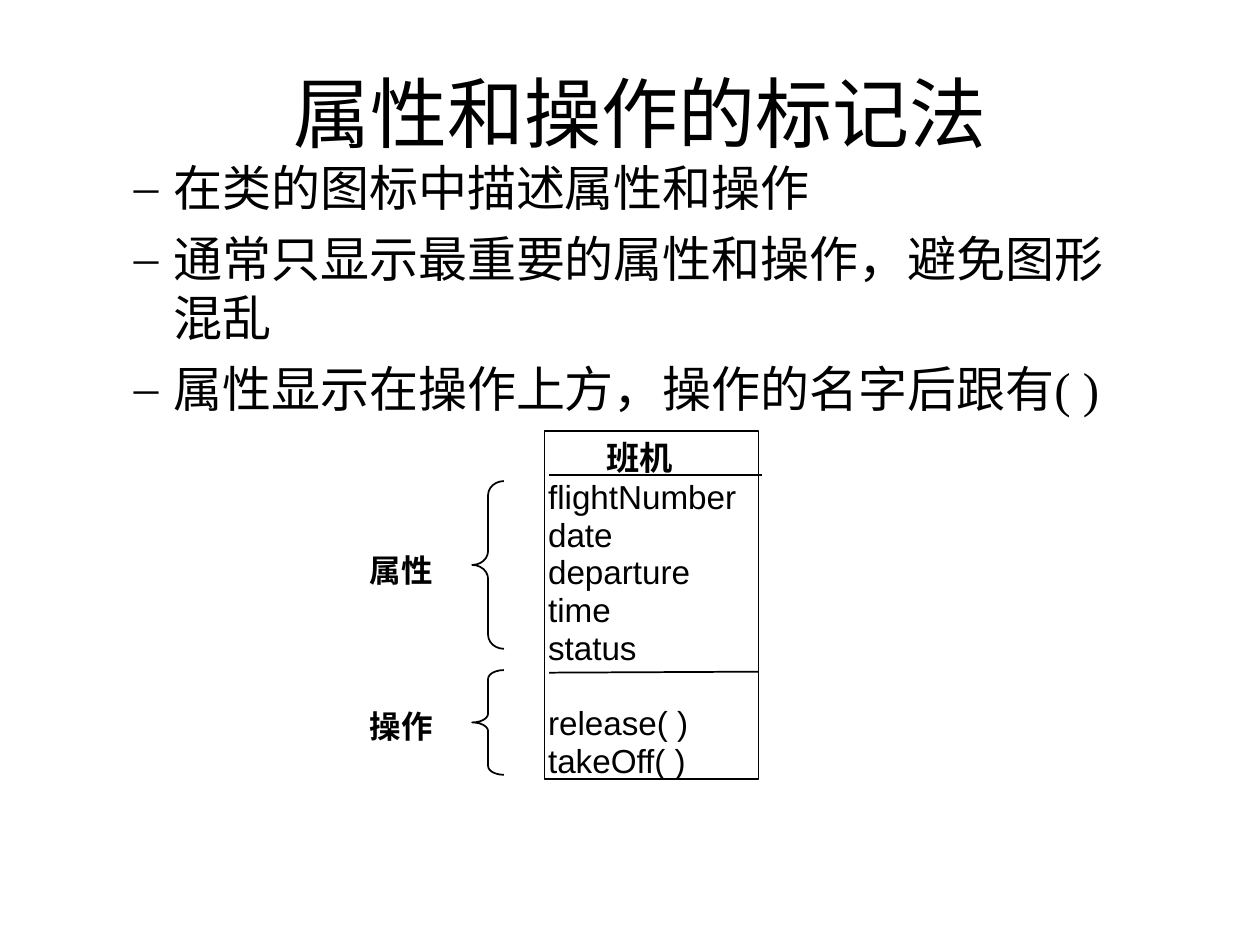
"""Build a slide on how attributes and operations are written in a class box."""
from dataclasses import dataclass

from lxml import etree
from pptx import Presentation
from pptx.dml.color import RGBColor
from pptx.enum.shapes import MSO_CONNECTOR, MSO_SHAPE
from pptx.enum.text import MSO_ANCHOR, MSO_AUTO_SIZE, PP_ALIGN
from pptx.oxml.ns import qn
from pptx.util import Cm, Pt

RECT, BRACE = MSO_SHAPE.RECTANGLE, MSO_SHAPE.LEFT_BRACE
STRAIGHT = MSO_CONNECTOR.STRAIGHT
TOP, BOTTOM = MSO_ANCHOR.TOP, MSO_ANCHOR.BOTTOM
FIXED, GROW = MSO_AUTO_SIZE.NONE, MSO_AUTO_SIZE.SHAPE_TO_FIT_TEXT
LEFT, CENTER = PP_ALIGN.LEFT, PP_ALIGN.CENTER


@dataclass(frozen=True)
class Theme:
    ink: RGBColor = RGBColor(0, 0, 0)
    serif: str = "Times New Roman"
    sans: str = "Arial"
    title: int = 44
    body: int = 28
    member: int = 19
    label: int = 18
    line: int = 1


theme = Theme()
prs = Presentation()
prs.slide_width, prs.slide_height = Cm(25.4), Cm(19.05)
s = prs.slides.add_slide(prs.slide_layouts[6])


def add_box(x, y, w, h, inset=(0.25, 0.13), wrap=False, anchor=TOP):
    tf = s.shapes.add_textbox(Cm(x), Cm(y), Cm(w), Cm(h)).text_frame
    tf.word_wrap, tf.vertical_anchor = wrap, anchor
    tf.auto_size = FIXED if wrap else GROW
    tf.margin_left = tf.margin_right = Cm(inset[0])
    tf.margin_top = tf.margin_bottom = Cm(inset[1])
    return tf


def add_run(p, text, size, font, bold=False, align=LEFT):
    p.alignment = align
    r = p.add_run()
    r.text = text
    r.font.size, r.font.name, r.font.bold = Pt(size), font, bold
    r.font.color.rgb = theme.ink


tf = add_box(2.11, 1.27, 21.59, 1.91, (0, 0), True, BOTTOM)
add_run(tf.paragraphs[0], "属性和操作的标记法", theme.title, theme.serif, align=CENTER)

points = [
    "在类的图标中描述属性和操作",
    "通常只显示最重要的属性和操作，避免图形混乱",
    "属性显示在操作上方，操作的名字后跟有( )",
]
tf = add_box(1.9, 3.18, 20.4, 6.43, (0, 0), True)
for i, point in enumerate(points):
    p = tf.add_paragraph() if i else tf.paragraphs[0]
    pPr = p._p.get_or_add_pPr()
    pPr.set("marL", str(Cm(1.6)))
    pPr.set("indent", str(Cm(-0.8)))
    p.space_before = Pt(7 if i else 0)
    etree.SubElement(pPr, qn("a:buFont")).set("typeface", theme.serif)
    etree.SubElement(pPr, qn("a:buChar")).set("char", "–")
    add_run(p, point, theme.body, theme.serif)

tf = add_box(11.97, 8.69, 1.86, 1.07)
add_run(tf.paragraphs[0], "班机", theme.member, theme.sans, True)

frame = s.shapes.add_shape(RECT, Cm(10.98), Cm(8.69), Cm(4.31), Cm(7.01))
outlines = [frame]

for y1, x2, y2 in [(9.58, 15.37, 9.58), (13.56, 15.29, 13.54)]:
    divider = s.shapes.add_connector(STRAIGHT, Cm(11.07), Cm(y1), Cm(x2), Cm(y2))
    divider.line.color.rgb, divider.line.width = theme.ink, Pt(theme.line)
    etree.SubElement(divider._element.spPr, qn("a:effectLst"))

members = [
    (0, "flightNumber", 4.4),
    (1, "date", 2),
    (2, "departure", 3.5),
    (3, "time", 1.9),
    (4, "status", 2.4),
    (6, "release( )", 3.4),
    (7, "takeOff( )", 3.4),
]
for row, name, width in members:
    tf = add_box(10.8, 9.47 + 0.76 * row, width, 1.07)
    add_run(tf.paragraphs[0], name, theme.member, theme.sans)

brace_width = 0.64
for y, height in [(9.7, 3.38), (13.51, 2.11)]:
    brace = s.shapes.add_shape(BRACE, Cm(9.52), Cm(y), Cm(brace_width), Cm(height))
    brace.adjustments[0] = height / 12 / brace_width
    outlines.append(brace)

for shape in outlines:
    shape.shadow.inherit = False
    shape.fill.background()
    shape.line.color.rgb, shape.line.width = theme.ink, Pt(theme.line)

for y, name in [(10.97, "属性"), (14.12, "操作")]:
    tf = add_box(6.98, y, 2.21, 1.02, wrap=True)
    add_run(tf.paragraphs[0], name, theme.label, theme.sans, True, CENTER)

prs.save("out.pptx")
